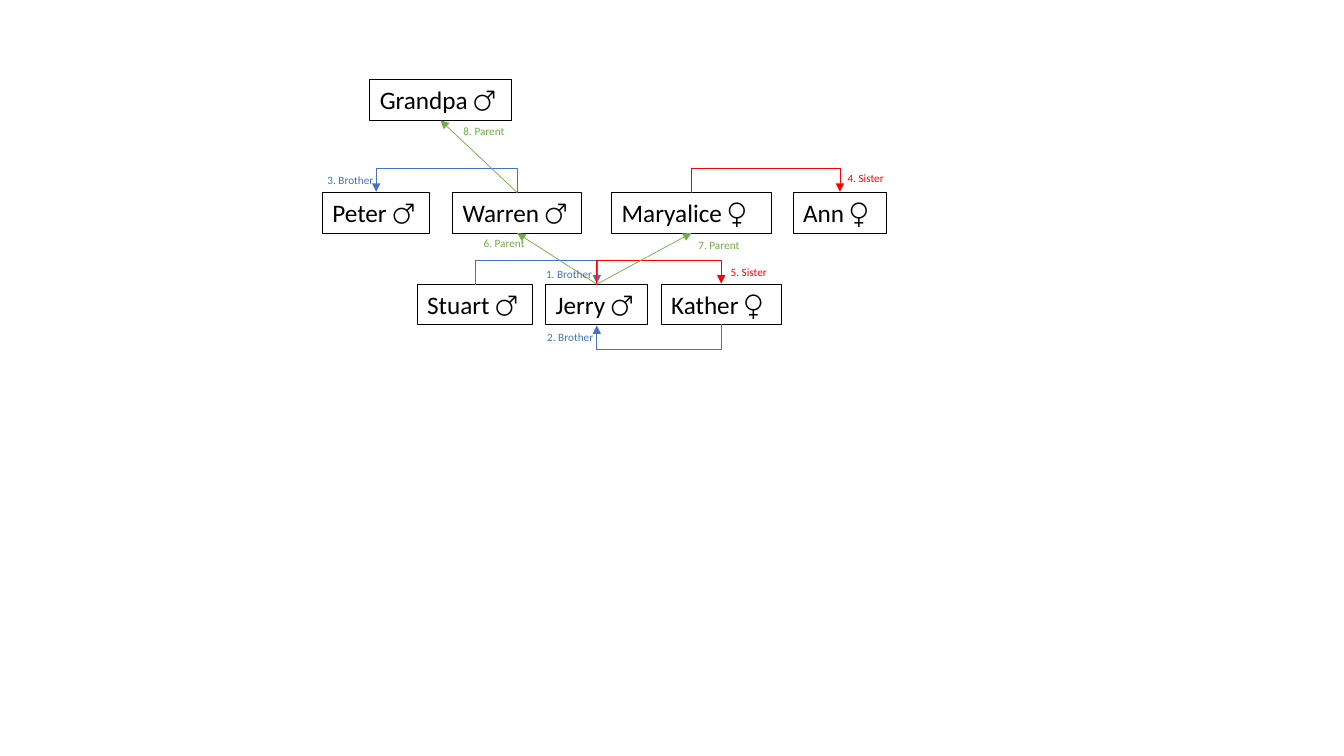
"""Build a family tree slide with numbered relationship arrows."""
from lxml.etree import SubElement
from pptx import Presentation
from pptx.dml.color import RGBColor
from pptx.enum.shapes import MSO_CONNECTOR
from pptx.enum.text import MSO_AUTO_SIZE, PP_ALIGN
from pptx.oxml.ns import qn
from pptx.util import Pt

BLACK = RGBColor(0x00, 0x00, 0x00)
BLUE = RGBColor(0x44, 0x72, 0xC4)
GREEN = RGBColor(0x70, 0xAD, 0x47)
RED = RGBColor(0xFF, 0x00, 0x00)

ROW_TOPS = {"grandparent": 57, "parent": 137.5, "child": 203}
BOX_HEIGHT = 29
LABEL_HEIGHT = 17
ELBOW_DEPTH = 18
TOP_SITE, BOTTOM_SITE = 0, 2

PEOPLE = [
    ("Warren", "♂", "parent", 323.3, 92.2),
    ("Maryalice", "♀", "parent", 437, 113.8),
    ("Peter", "♂", "parent", 230.4, 76.6),
    ("Ann", "♀", "parent", 566.6, 66.6),
    ("Jerry", "♂", "child", 389.8, 73),
    ("Kather", "♀", "child", 472.3, 85.7),
    ("Stuart", "♂", "child", 298.1, 82.5),
    ("Grandpa", "♂", "grandparent", 264.2, 101),
]
SIBLINGS = [
    ("Stuart", "Jerry", BLUE, False),
    ("Kather", "Jerry", BLUE, True),
    ("Maryalice", "Ann", RED, False),
    ("Jerry", "Kather", RED, False),
    ("Warren", "Peter", BLUE, False),
]
PARENTS = [("Warren", "Grandpa"), ("Jerry", "Warren"), ("Jerry", "Maryalice")]
LABELS = [
    ("1. Brother", 383, 187.2, 47.5, BLUE),
    ("2. Brother", 383.8, 232.6, 47.5, BLUE),
    ("3. Brother", 226.8, 120.2, 47.5, BLUE),
    ("6. Parent", 338.4, 165.2, 44, GREEN),
    ("7. Parent", 491.8, 166.5, 44, GREEN),
    ("8. Parent", 324, 85.4, 44, GREEN),
    ("4. Sister", 598.3, 118.8, 40.5, RED),
    ("5. Sister", 514.8, 186.2, 40.5, RED),
]


def add_text(page, text, *, left, top, width, height, size, color, wrap):
    """Add a left-aligned text box and return it."""
    box = page.shapes.add_textbox(Pt(left), Pt(top), Pt(width), Pt(height))
    frame = box.text_frame
    frame.word_wrap = wrap
    frame.auto_size = MSO_AUTO_SIZE.SHAPE_TO_FIT_TEXT
    para = frame.paragraphs[0]
    para.alignment = PP_ALIGN.LEFT
    span = para.add_run()
    span.text = text
    span.font.name = "Calibri"
    span.font.size = Pt(size)
    span.font.color.rgb = color
    return box


def add_person(page, name, sign, row, left, width):
    """Add an outlined box for one family member."""
    box = add_text(page, f"{name} {sign}", left=left, top=ROW_TOPS[row],
                   width=width, height=BOX_HEIGHT, size=18, color=BLACK,
                   wrap=True)
    box.line.color.rgb = BLACK
    box.line.width = Pt(0.75)
    return box


def style_arrow(connector, color):
    """Give a connector a thin line and a triangular head, without shadow."""
    connector.line.color.rgb = color
    connector.line.width = Pt(0.5)
    properties = connector.element.spPr
    SubElement(properties.find(qn("a:ln")), qn("a:tailEnd"), type="triangle")
    SubElement(properties, qn("a:effectLst"))


def add_parent_arrow(page, child, parent):
    """Draw a straight arrow from a child up to a parent."""
    connector = page.shapes.add_connector(MSO_CONNECTOR.STRAIGHT, 0, 0, 0, 0)
    connector.begin_connect(child, TOP_SITE)
    connector.end_connect(parent, BOTTOM_SITE)
    style_arrow(connector, GREEN)


def add_sibling_arrow(page, source, target, color, below):
    """Draw an elbow arrow between siblings, above or below their boxes."""
    start = source.left + source.width // 2
    end = target.left + target.width // 2
    edge = source.top + source.height if below else source.top
    length = abs(end - start)
    left = (start + end - Pt(1)) // 2
    top = edge - length // 2
    connector = page.shapes.add_connector(
        MSO_CONNECTOR.ELBOW, left, top, left + Pt(1), top + length)
    rightward = end > start
    turn = 90 if rightward != below else 270
    if below:
        turn = 270 if rightward else 90
    frame = connector.element.spPr.find(qn("a:xfrm"))
    frame.set("rot", str(turn * 60000))
    frame.set("flipH", str(int(rightward and not below)))
    frame.set("flipV", str(int(rightward or not below)))
    adjustments = connector.element.spPr.find(qn("a:prstGeom")).find(qn("a:avLst"))
    SubElement(adjustments, qn("a:gd"), name="adj1",
               fmla=f"val {ELBOW_DEPTH * 100000}")
    style_arrow(connector, color)


def main():
    """Build and save the family tree."""
    deck = Presentation()
    deck.slide_width, deck.slide_height = Pt(960), Pt(540)
    page = deck.slides.add_slide(deck.slide_layouts[6])
    boxes = {person[0]: add_person(page, *person) for person in PEOPLE}
    for source, target, color, below in SIBLINGS:
        add_sibling_arrow(page, boxes[source], boxes[target], color, below)
    for child, parent in PARENTS:
        add_parent_arrow(page, boxes[child], boxes[parent])
    for text, left, top, width, color in LABELS:
        add_text(page, text, left=left, top=top, width=width,
                 height=LABEL_HEIGHT, size=8, color=color, wrap=False)
    deck.save("out.pptx")


if __name__ == "__main__":
    main()
